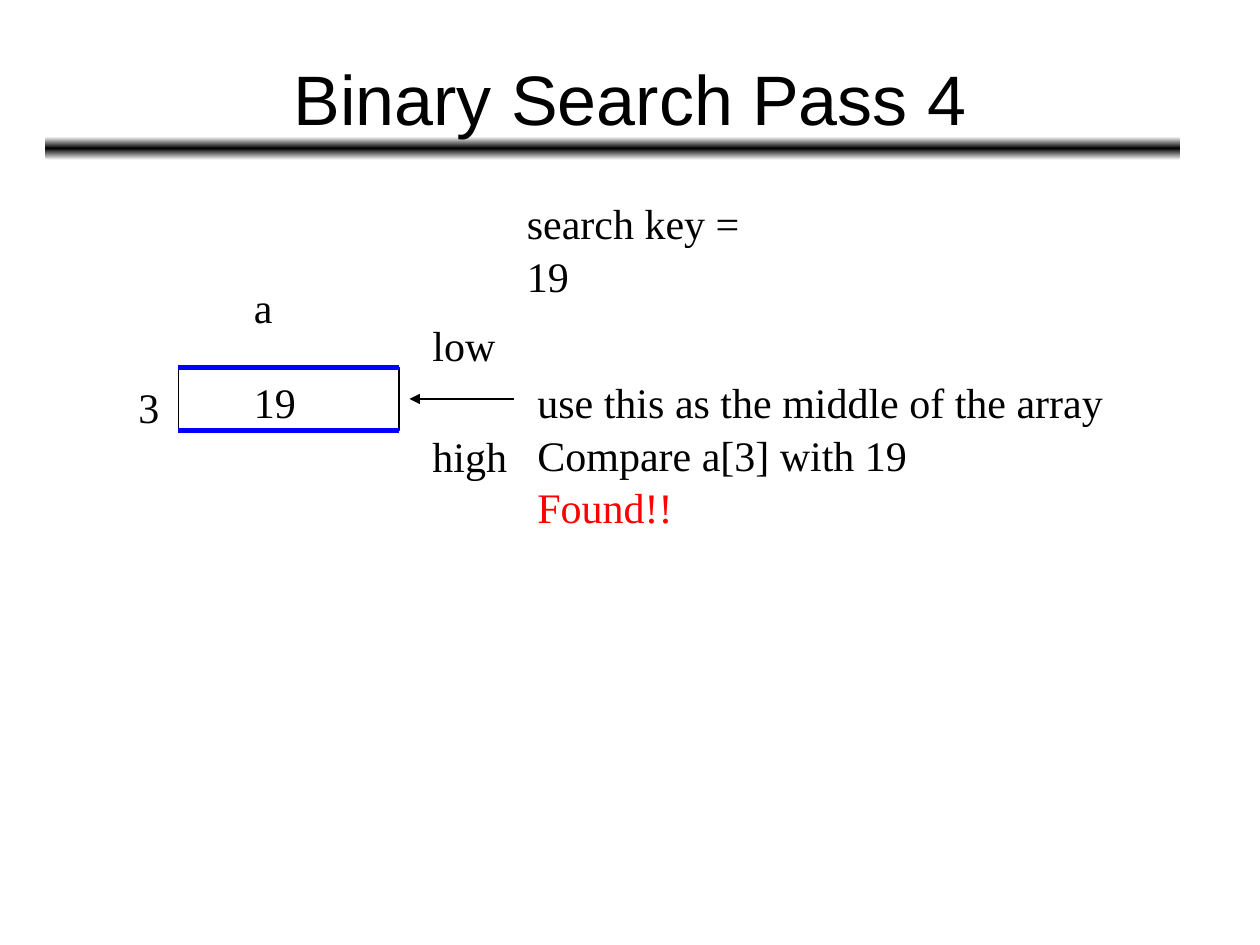
"""Build the slide showing pass 4 of a binary search."""
from copy import deepcopy
from dataclasses import dataclass

from lxml import etree
from pptx import Presentation
from pptx import util as u
from pptx.dml.color import RGBColor
from pptx.enum import shapes, text
from pptx.oxml import ns

CELL = u.Inches(1 / 12)


@dataclass(frozen=True)
class Theme:
    title_font: str = "Arial"
    body_font: str = "Times New Roman"
    title_size: float = 40
    body_size: float = 24
    line_spacing: float = 1.05
    thin: float = 0.75
    thick: float = 3
    black: RGBColor = RGBColor(0, 0, 0)
    white: RGBColor = RGBColor(255, 255, 255)
    edge: RGBColor = RGBColor(0, 0, 255)
    found: RGBColor = RGBColor(255, 0, 0)


THEME = Theme()


@dataclass(frozen=True)
class Line:
    words: str
    color: RGBColor = THEME.black


@dataclass(frozen=True)
class Label:
    column: float
    row: float
    columns: float
    lines: tuple[Line, ...]


@dataclass(frozen=True)
class Rule:
    start: tuple[float, float]
    end: tuple[float, float]
    color: RGBColor
    weight: float
    arrow: bool = False


LEFT, RIGHT, TOP, BOTTOM = 17, 38, 35, 41
MIDDLE = (TOP + BOTTOM) / 2

LABELS = (
    Label(12, 35.5, 4.3, (Line("3"),)),
    Label(49, 18, 27.6, (Line("search key = 19"),)),
    Label(50, TOP, 57.2, (
        Line("use this as the middle of the array"),
        Line("Compare a[3] with 19"),
        Line("Found!!", THEME.found),
    )),
    Label(23, 26, 4.2, (Line("a"),)),
    Label(23, TOP, 6.4, (Line("19"),)),
    Label(40, 29.6, 8.4, (Line("low"),)),
    Label(40, 40.2, 9.5, (Line("high"),)),
)

RULES = (
    Rule((LEFT, TOP), (RIGHT, TOP), THEME.edge, THEME.thick),
    Rule((LEFT, BOTTOM), (RIGHT, BOTTOM), THEME.edge, THEME.thick),
    Rule((49, MIDDLE), (39, MIDDLE), THEME.black, THEME.thin, arrow=True),
)


def grid(*cells: float) -> list[u.Emu]:
    """Turn counts of grid cells into lengths."""
    return [u.Emu(round(count * CELL)) for count in cells]


def add_run(paragraph, words: str, font: str, size: float, color: RGBColor) -> None:
    """Append one formatted run."""
    run = paragraph.add_run()
    run.text = words
    run.font.name = font
    run.font.size = u.Pt(size)
    run.font.color.rgb = color


def format_title(slide, words: str) -> None:
    """Place and fill the title placeholder."""
    title = slide.shapes.title
    title.left, title.top, title.width, title.height = grid(6, 3.6, 108, 11.4)
    frame = title.text_frame
    frame.auto_size = text.MSO_AUTO_SIZE.NONE
    frame.vertical_anchor = text.MSO_ANCHOR.MIDDLE
    paragraph = frame.paragraphs[0]
    paragraph.alignment = text.PP_ALIGN.CENTER
    add_run(paragraph, words, THEME.title_font, THEME.title_size, THEME.black)


def add_band(slide) -> None:
    """Add the shaded band behind the title."""
    band = slide.shapes.add_shape(
        shapes.MSO_SHAPE.ROUNDED_RECTANGLE, *grid(4.3, 13, 108.1, 2.25))
    band.shadow.inherit = False
    band.line.fill.background()
    band.fill.gradient()
    band.fill.gradient_angle = 90
    stop_list = band.element.find(".//" + ns.qn("a:gsLst"))
    stop_list.append(deepcopy(stop_list[0]))
    colors = (THEME.white, THEME.black, THEME.white)
    for stop, color, position in zip(band.fill.gradient_stops, colors, (0, 0.5, 1)):
        stop.color.rgb = color
        stop.position = position
    slide.shapes.title.element.addprevious(band.element)


def add_array_cell(slide) -> None:
    """Add the outlined array element."""
    cell = slide.shapes.add_shape(
        shapes.MSO_SHAPE.RECTANGLE, *grid(LEFT, TOP, RIGHT - LEFT, BOTTOM - TOP))
    cell.shadow.inherit = False
    cell.fill.background()
    cell.line.color.rgb = THEME.black
    cell.line.width = u.Pt(THEME.thin)


def add_rule(slide, rule: Rule) -> None:
    """Add a straight line, with an arrowhead if asked."""
    connector = slide.shapes.add_connector(
        shapes.MSO_CONNECTOR.STRAIGHT, *grid(*rule.start, *rule.end))
    connector.line.color.rgb = rule.color
    connector.line.width = u.Pt(rule.weight)
    if rule.arrow:
        etree.SubElement(connector.line._get_or_add_ln(), ns.qn("a:tailEnd"), type="triangle")
    etree.SubElement(connector.element.spPr, ns.qn("a:effectLst"))


def add_label(slide, label: Label) -> None:
    """Add a text box with one paragraph per line."""
    height = 1.2 + 4.8 * len(label.lines)
    box = slide.shapes.add_textbox(*grid(label.column, label.row, label.columns, height))
    frame = box.text_frame
    frame.word_wrap = False
    frame.auto_size = text.MSO_AUTO_SIZE.SHAPE_TO_FIT_TEXT
    for index, line in enumerate(label.lines):
        paragraph = frame.add_paragraph() if index else frame.paragraphs[0]
        paragraph.line_spacing = THEME.line_spacing
        add_run(paragraph, line.words, THEME.body_font, THEME.body_size, line.color)


def main() -> None:
    """Build and save the presentation."""
    presentation = Presentation()
    presentation.slide_width, presentation.slide_height = grid(120, 90)
    slide = presentation.slides.add_slide(presentation.slide_layouts[5])
    format_title(slide, "Binary Search Pass 4")
    add_band(slide)
    add_array_cell(slide)
    for rule in RULES:
        add_rule(slide, rule)
    for label in LABELS:
        add_label(slide, label)
    presentation.save("out.pptx")


if __name__ == "__main__":
    main()
